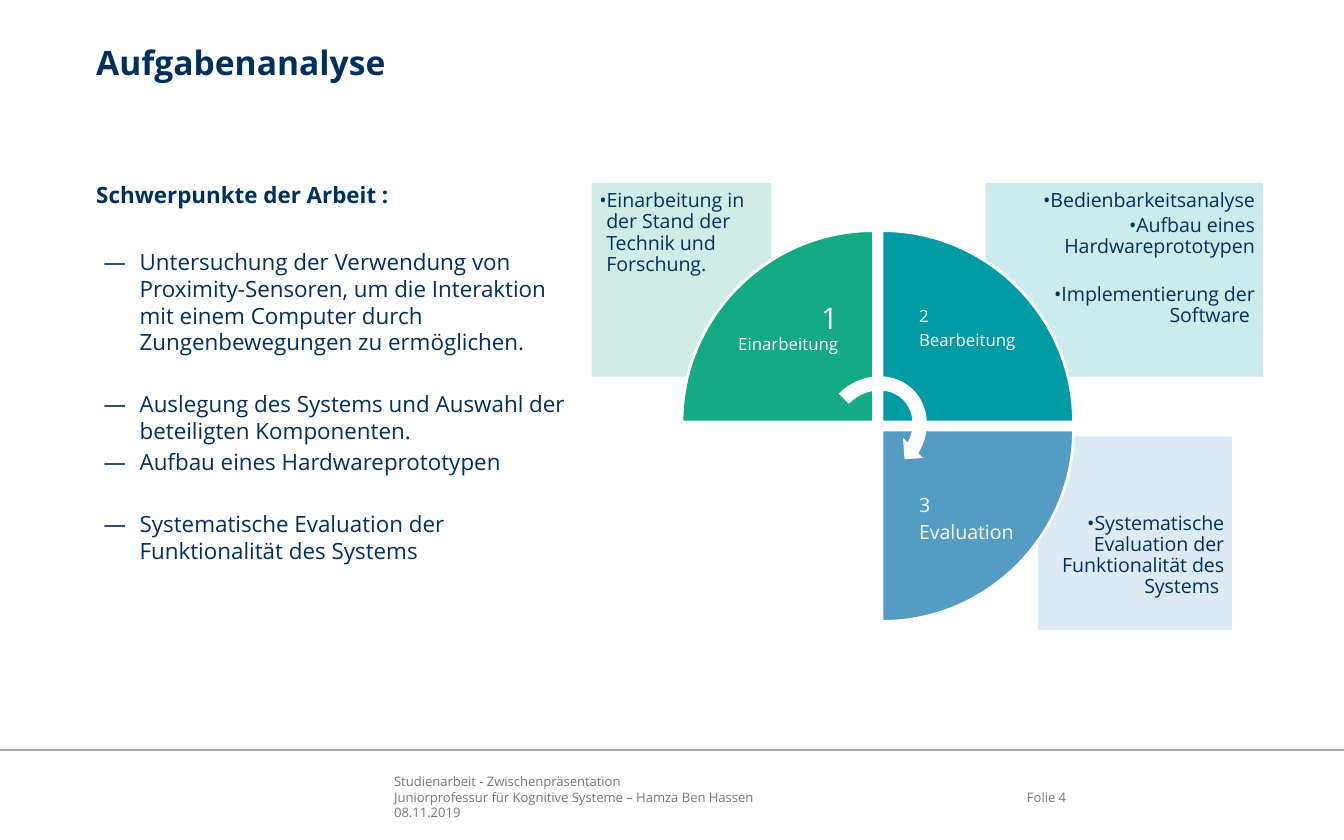
from dataclasses import dataclass
from math import cos, radians, sin

from lxml import etree
from pptx import Presentation
from pptx.dml.color import RGBColor
from pptx.enum.shapes import MSO_CONNECTOR, MSO_SHAPE
from pptx.enum.text import MSO_ANCHOR, PP_ALIGN
from pptx.oxml.ns import qn
from pptx.util import Cm, Pt

LEFT, RIGHT = PP_ALIGN.LEFT, PP_ALIGN.RIGHT
TOP, MIDDLE, BOTTOM = MSO_ANCHOR.TOP, MSO_ANCHOR.MIDDLE, MSO_ANCHOR.BOTTOM
RECT, ARROW = MSO_SHAPE.RECTANGLE, MSO_SHAPE.CIRCULAR_ARROW
STRAIGHT = MSO_CONNECTOR.STRAIGHT
FONT = "Open Sans"
NAVY, WHITE, GREY, RULE = "00305E", "FFFFFF", "727879", "A6A6A6"
GREEN, TEAL, BLUE = "13A983", "009BA4", "539DC5"
RADIUS, BEND = 3.62, 0.55


@dataclass
class Line:
    text: str
    size: float
    color: str = NAVY
    bold: bool = False
    align: int = LEFT
    before: float = 0
    after: float = 0
    space: float = 1.0
    mark: str = ""
    indent: float = 0
    hang: float = 0
    tail: str = ""
    tail_size: float = 0


@dataclass
class Panel:
    left: float
    top: float
    width: float
    color: str
    anchor: int
    foot: float
    lines: list


@dataclass
class Sector:
    x: float
    y: float
    start: int
    color: str
    pads: tuple
    lines: list


def paint(target, color: str) -> None:
    target.rgb = RGBColor.from_string(color)


def fill(shape, color: str) -> None:
    shape.shadow.inherit = False
    shape.fill.solid()
    paint(shape.fill.fore_color, color)
    shape.line.fill.background()


def style(font, size: float, color: str, bold: bool) -> None:
    for key, value in {"name": FONT, "size": Pt(size), "bold": bold}.items():
        setattr(font, key, value)
    paint(font.color, color)


def write(frame, lines: list, anchor=TOP, pads=(0, 0, 0, 0)) -> None:
    left, top, right, bottom = map(Cm, pads)
    form = {"word_wrap": True, "vertical_anchor": anchor, "margin_left": left,
            "margin_top": top, "margin_right": right, "margin_bottom": bottom}
    for key, value in form.items():
        setattr(frame, key, value)
    for i, line in enumerate(lines):
        para = frame.paragraphs[0] if i == 0 else frame.add_paragraph()
        form = {"alignment": line.align, "space_before": Pt(line.before),
                "space_after": Pt(line.after), "line_spacing": line.space}
        for key, value in form.items():
            setattr(para, key, value)
        if line.mark:
            props = para._p.get_or_add_pPr()
            props.set("marL", str(Cm(line.indent)))
            props.set("indent", str(Cm(-line.hang)))
            etree.SubElement(props, qn("a:buFont")).set("typeface", FONT)
            etree.SubElement(props, qn("a:buChar")).set("char", line.mark)
        for text, size in ((line.text, line.size), (line.tail, line.tail_size)):
            if text:
                run = para.add_run()
                run.text = text
                style(run.font, size, line.color, line.bold)


def add_text(slide, spot: tuple, lines: list, anchor=TOP) -> None:
    box = slide.shapes.add_textbox(*map(Cm, spot))
    write(box.text_frame, lines, anchor)


def add_panel(slide, panel: Panel) -> None:
    spot = panel.left, panel.top, panel.width, 3.66
    shape = slide.shapes.add_shape(RECT, *map(Cm, spot))
    fill(shape, panel.color)
    tint = shape._element.spPr.find(".//" + qn("a:srgbClr"))
    etree.SubElement(tint, qn("a:alpha")).set("val", "20000")
    write(shape.text_frame, panel.lines, panel.anchor, (0.15, 0.15, 0.15, panel.foot))


def add_sector(slide, part: Sector) -> None:
    turn = radians(part.start)
    ax, ay = RADIUS * cos(turn), RADIUS * sin(turn)
    bx, by = -ay, ax
    spots = [(ax, ay), (ax + BEND * bx, ay + BEND * by),
             (bx + BEND * ax, by + BEND * ay), (bx, by)]
    pen = slide.shapes.build_freeform(Cm(part.x), Cm(part.y))
    pen.add_line_segments([(Cm(part.x + x), Cm(part.y + y)) for x, y in spots], close=True)
    shape = pen.convert_to_shape()
    legs = list(shape._element.spPr.iter(qn("a:lnTo")))[1:4]
    curve = etree.Element(qn("a:cubicBezTo"))
    legs[0].addprevious(curve)
    for leg in legs:
        curve.append(leg[0])
        leg.getparent().remove(leg)
    fill(shape, part.color)
    shape.line.fill.solid()
    paint(shape.line.color, WHITE)
    shape.line.width = Pt(1.5)
    write(shape.text_frame, part.lines, MIDDLE, part.pads)


def dash(text: str, before: float) -> Line:
    return Line(text, 12, before=before, mark="—", indent=0.82, hang=0.68)


def dot(text: str, align=RIGHT, after=1.7) -> Line:
    return Line(text, 10.5, align=align, after=after, space=0.9,
                mark="••", indent=0.13, hang=0.13)


def label(text: str, size: float, after=0.0) -> Line:
    return Line(text, size, WHITE, after=after, space=0.9)


def small(text: str, align=LEFT) -> Line:
    return Line(text, 7, GREY, align=align)


BODY = [
    Line("Schwerpunkte der Arbeit :", 12, bold=True),
    dash("Untersuchung der Verwendung von Proximity-Sensoren, um die Interaktion "
         "mit einem Computer durch Zungenbewegungen zu ermöglichen.", 21.3),
    dash("Auslegung des Systems und Auswahl der beteiligten Komponenten.", 18.8),
    dash("Aufbau eines Hardwareprototypen", 2.2),
    dash("Systematische Evaluation der Funktionalität des Systems", 18.8),
]
PANELS = [
    Panel(19.62, 8.25, 3.67, BLUE, BOTTOM, 0.6,
          [dot("Systematische Evaluation der Funktionalität des Systems ", after=0)]),
    Panel(18.63, 3.46, 5.24, TEAL, TOP, 0.15,
          [dot("Bedienbarkeitsanalyse"),
           dot("Aufbau eines Hardwareprototypen", after=14.5),
           dot("Implementierung der Software ")]),
    Panel(11.18, 3.46, 3.39, GREEN, TOP, 0.15,
          [dot("Einarbeitung in der Stand der Technik und Forschung.", LEFT)]),
]
SECTORS = [
    Sector(16.51, 7.98, 180, GREEN, (0.99, 0.99, 0.67, 0.89),
           [Line("1", 16, WHITE, align=RIGHT, space=0.9,
                 tail=" Einarbeitung", tail_size=9)]),
    Sector(16.67, 7.98, 270, TEAL, (0.7, 0.99, 0.89, 0.89),
           [label("2", 9, 3.2), label("Bearbeitung", 9)]),
    Sector(16.67, 8.13, 0, BLUE, (0.7, 0.76, 0.89, 0.99),
           [label("3", 10.5, 3.5), label("Evaluation", 10.5)]),
]
FOOTER = ["Studienarbeit - Zwischenpräsentation",
          "Juniorprofessur für Kognitive Systeme – Hamza Ben Hassen", "08.11.2019"]


def main() -> None:
    deck = Presentation()
    deck.slide_width, deck.slide_height = Cm(25.4), Cm(15.88)
    slide = deck.slides.add_slide(deck.slide_layouts[6])

    add_text(slide, (7.45, 14.62, 10.82, 0.89), [small(t) for t in FOOTER], BOTTOM)
    rule = slide.shapes.add_connector(STRAIGHT, Cm(0), Cm(14.18), Cm(25.4), Cm(14.18))
    paint(rule.line.color, RULE)
    rule.line.width = Pt(1)
    etree.SubElement(rule._element.spPr, qn("a:effectLst"))
    add_text(slide, (18.68, 14.62, 1.47, 0.89), [small("Folie 4", RIGHT)], MIDDLE)

    add_text(slide, (1.82, 0.8, 22.05, 1.57), [Line("Aufgabenanalyse", 18, bold=True)])
    add_text(slide, (1.82, 3.43, 8.97, 8.86), BODY)
    for panel in PANELS:
        add_panel(slide, panel)
    for part in SECTORS:
        add_sector(slide, part)
    arrow = slide.shapes.add_shape(ARROW, *map(Cm, (15.44, 6.93, 2.16, 2.36)))
    fill(arrow, WHITE)
    arrow.rotation = 45

    deck.save("out.pptx")


if __name__ == "__main__":
    main()
